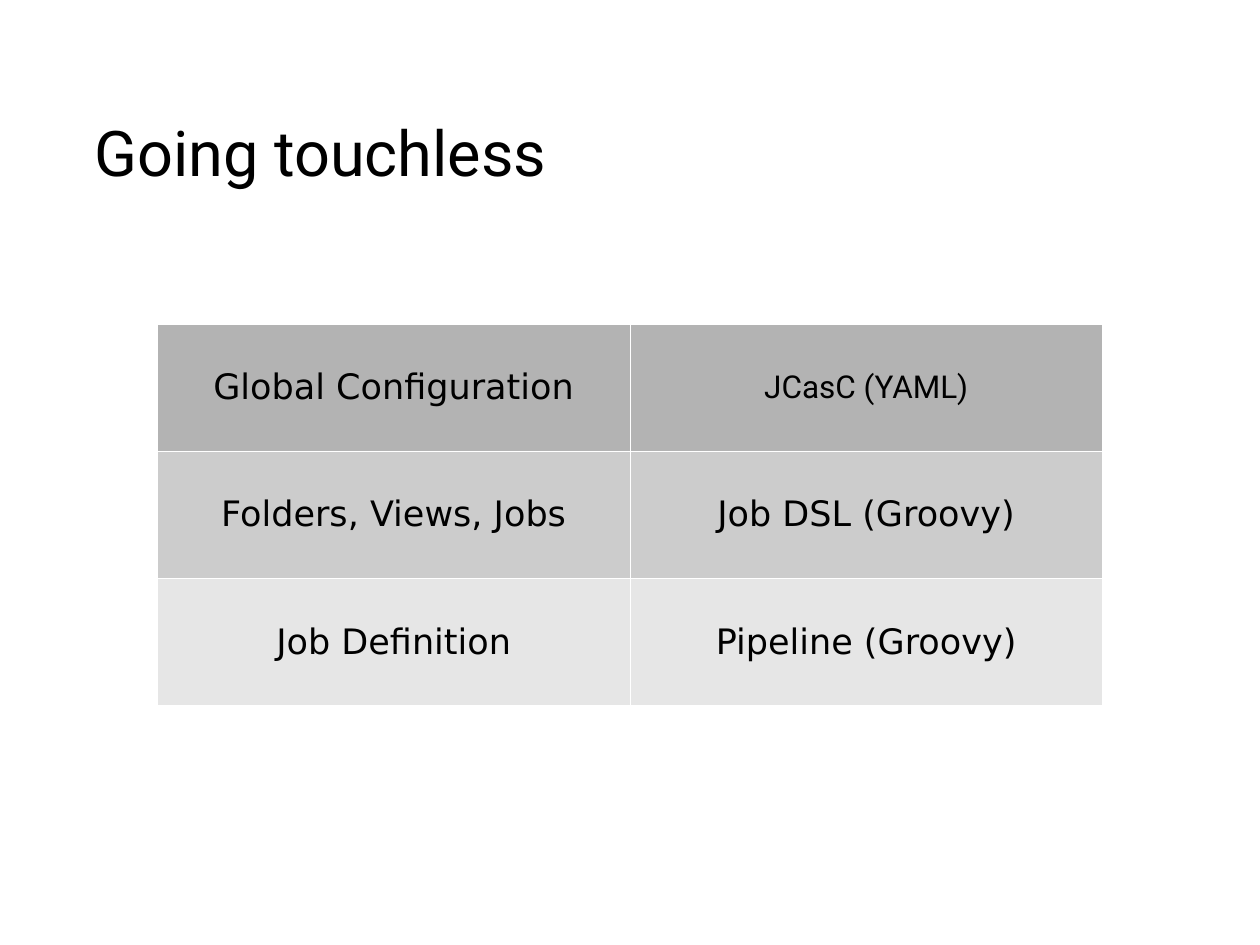
from dataclasses import dataclass

from lxml import etree
from pptx import Presentation, util as u
from pptx.dml.color import RGBColor
from pptx.enum import text
from pptx.oxml import ns


@dataclass(frozen=True)
class Theme:
    ink: str = "000000"
    border: str = "FFFFFF"
    border_width: int = u.Pt(0.06)
    title_font: str = "Roboto"
    body_font: str = "DejaVu Sans"
    title_size: float = 36
    body_size: float = 20
    small_size: float = 18


@dataclass(frozen=True)
class Label:
    words: str
    font: str
    size: float


@dataclass(frozen=True)
class Layer:
    fill: str
    labels: tuple[Label, Label]


THEME = Theme()
WIDTH, HEIGHT = u.Inches(10), u.Inches(7.5)


def body(words: str) -> Label:
    return Label(words, THEME.body_font, THEME.body_size)


LAYERS = (
    Layer("B3B3B3", (body("Global Configuration"),
                     Label("JCasC (YAML)", THEME.title_font, THEME.small_size))),
    Layer("CCCCCC", (body("Folders, Views, Jobs"), body("Job DSL (Groovy)"))),
    Layer("E6E6E6", (body("Job Definition"), body("Pipeline (Groovy)"))),
)


def write(tf, label: Label, align) -> None:
    p = tf.paragraphs[0]
    p.text = label.words
    p.alignment = align
    p.font.name = label.font
    p.font.size = u.Pt(label.size)
    p.font.color.rgb = RGBColor.from_string(THEME.ink)


def add_borders(cell) -> None:
    tc_pr = cell._tc.get_or_add_tcPr()
    for i, side in enumerate(("lnL", "lnR", "lnT", "lnB")):
        line = etree.Element(ns.qn(f"a:{side}"), w=str(THEME.border_width))
        fill = etree.SubElement(line, ns.qn("a:solidFill"))
        etree.SubElement(fill, ns.qn("a:srgbClr"), val=THEME.border)
        tc_pr.insert(i, line)  # borders come before the fill


def add_title(s, label: Label) -> None:
    sp = s.shapes.add_textbox(int(WIDTH * 0.075), 0, int(WIDTH * 0.85), int(HEIGHT * 0.2))
    tf = sp.text_frame
    tf.word_wrap = True
    tf.margin_left = tf.margin_right = tf.margin_top = tf.margin_bottom = 0
    tf.vertical_anchor = text.MSO_ANCHOR.BOTTOM
    write(tf, label, text.PP_ALIGN.LEFT)


def add_layers(s, layers: tuple[Layer, ...]) -> None:
    row_height = u.Inches(1.01)
    table = s.shapes.add_table(
        len(layers), len(layers[0].labels), int(WIDTH / 8), u.Inches(2.57),
        int(WIDTH * 0.75), row_height * len(layers)).table
    table.first_row = table.horz_banding = False
    for row, layer in enumerate(layers):
        for col, label in enumerate(layer.labels):
            cell = table.cell(row, col)
            cell.fill.solid()
            cell.fill.fore_color.rgb = RGBColor.from_string(layer.fill)
            cell.vertical_anchor = text.MSO_ANCHOR.MIDDLE
            write(cell.text_frame, label, text.PP_ALIGN.CENTER)
            add_borders(cell)


def main() -> None:
    prs = Presentation()
    prs.slide_width, prs.slide_height = WIDTH, HEIGHT
    s = prs.slides.add_slide(prs.slide_layouts[6])

    # Heading
    add_title(s, Label("Going touchless", THEME.title_font, THEME.title_size))

    # Configuration layers and the tool for each
    add_layers(s, LAYERS)

    prs.save("out.pptx")


if __name__ == "__main__":
    main()
